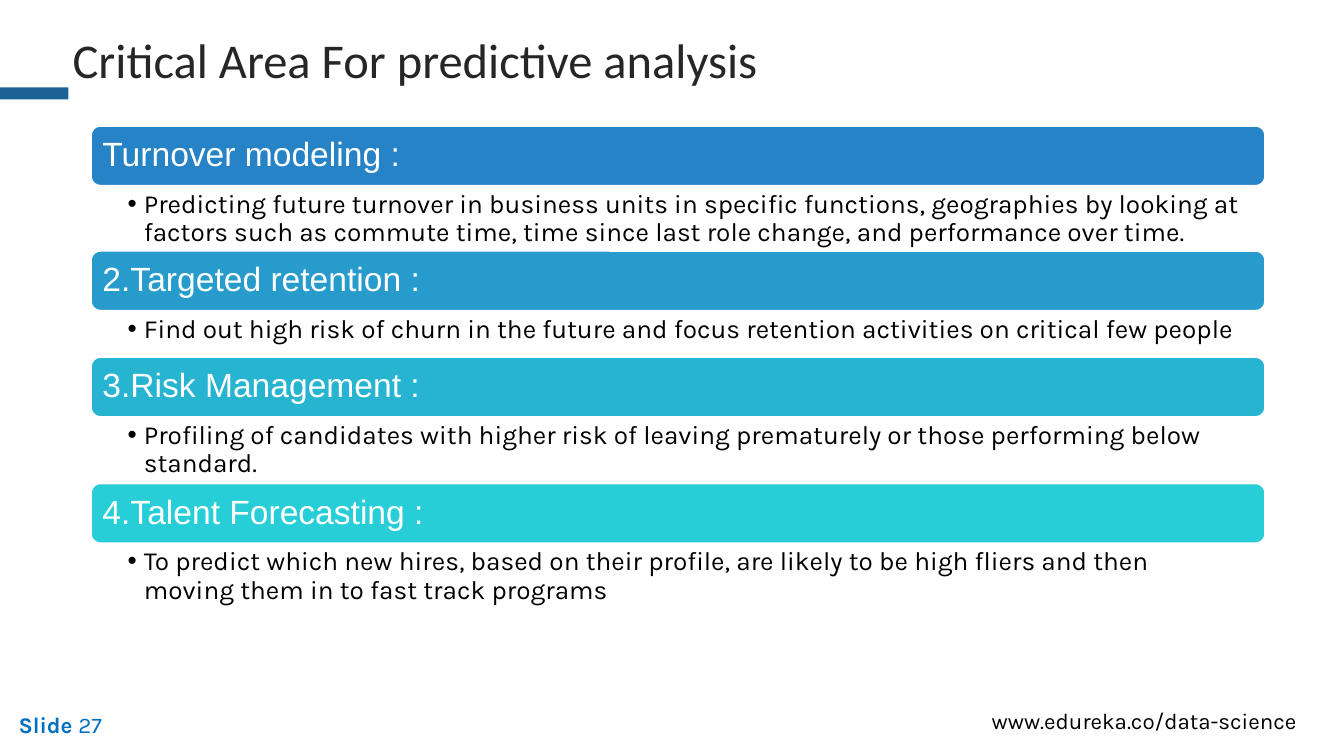
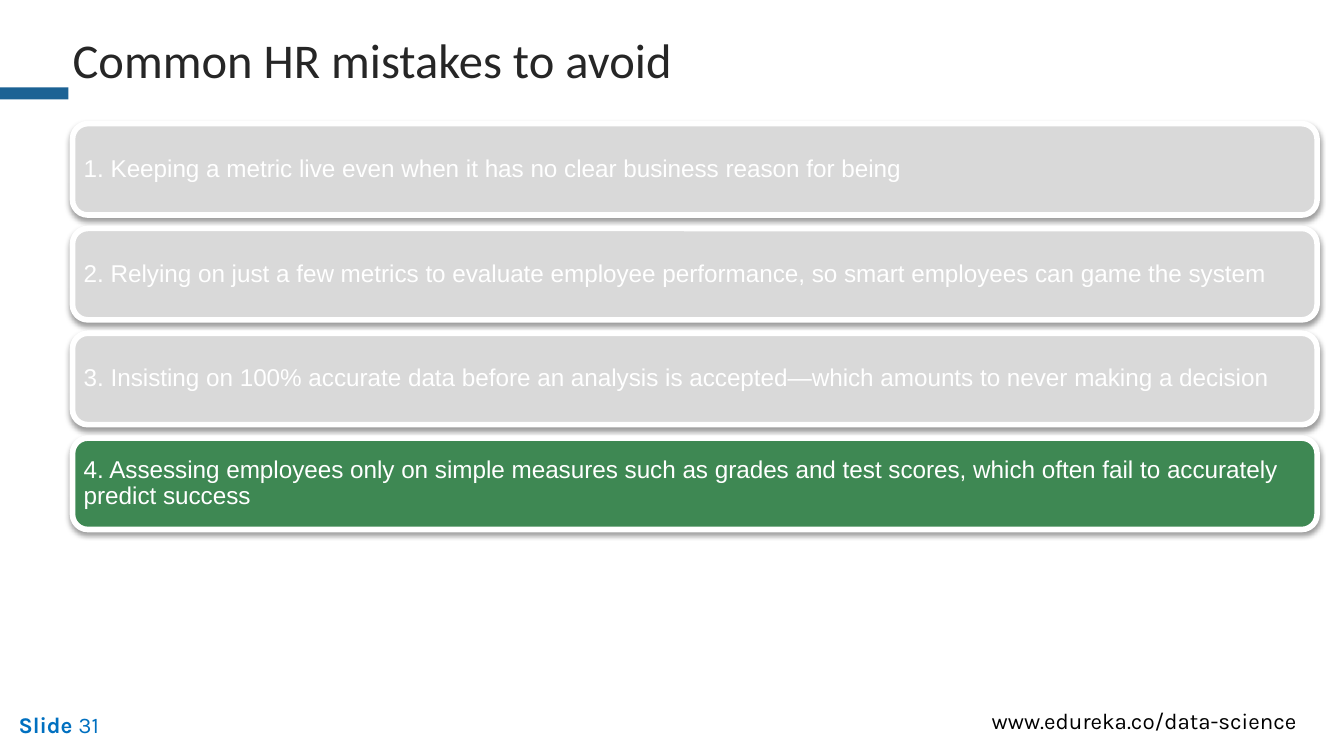
from lxml import etree
from pptx import Presentation
from pptx.dml.color import RGBColor
from pptx.enum import shapes, text
from pptx.oxml import ns
from pptx.util import Inches, Pt

WHITE = RGBColor(0xFF, 0xFF, 0xFF)
BLACK = RGBColor(0x00, 0x00, 0x00)
TITLE_GREY = RGBColor(0x26, 0x26, 0x26)
ACCENT_BLUE = RGBColor(0x1C, 0x62, 0x94)
NUMBER_BLUE = RGBColor(0x00, 0x70, 0xC0)
MUTED_GREY = RGBColor(0xD9, 0xD9, 0xD9)
FOCUS_GREEN = RGBColor(0x3E, 0x88, 0x53)

AREAS = [
    ("Turnover modeling :", RGBColor(0x26, 0x83, 0xC6), 0.47,
     "Predicting future turnover in business units in specific functions, geographies by looking at "
     "factors such as commute time, time since last role change, and performance over time."),
    ("2.Targeted retention :", RGBColor(0x26, 0x9B, 0xCC), 0.33,
     "Find out high risk of churn in the future and focus retention activities on critical few people"),
    ("3.Risk Management :", RGBColor(0x27, 0xB4, 0xD1), 0.48,
     "Profiling of candidates with higher risk of leaving prematurely or those performing below standard."),
    ("4.Talent Forecasting :", RGBColor(0x27, 0xCE, 0xD7), 0.48,
     "To predict which new hires, based on their profile, are likely to be high fliers and then "
     "moving them in to fast track programs"),
]
MISTAKES = [
    ("1. Keeping a metric live even when it has no clear business reason for being", MUTED_GREY),
    ("2. Relying on just a few metrics to evaluate employee performance, "
     "so smart employees can game the system", MUTED_GREY),
    ("3. Insisting on 100% accurate data before an analysis is accepted—"
     "which amounts to never making a decision", MUTED_GREY),
    ("4. Assessing employees only on simple measures such as grades and test scores, "
     "which often fail to accurately predict success", FOCUS_GREEN),
]


def set_margins(frame, left, top, right, bottom):
    frame.margin_left, frame.margin_top = Inches(left), Inches(top)
    frame.margin_right, frame.margin_bottom = Inches(right), Inches(bottom)


def set_font(font, name, size, color):
    font.name, font.size = name, Pt(size)
    font.color.rgb = color


def add_text(slide, left, top, width, height):
    box = slide.shapes.add_textbox(Inches(left), Inches(top), Inches(width), Inches(height))
    box.text_frame.word_wrap = True
    return box.text_frame


def add_bar(slide, left, top, width, height, words, fill, size, inset, line_width):
    """Rounded, white-edged bar with its words on the left."""
    bar = slide.shapes.add_shape(shapes.MSO_SHAPE.ROUNDED_RECTANGLE, Inches(left), Inches(top),
                                 Inches(width), Inches(height))
    bar.shadow.inherit = False
    bar.fill.solid()
    bar.fill.fore_color.rgb = fill
    bar.line.color.rgb = WHITE
    bar.line.width = Pt(line_width)
    frame = bar.text_frame
    frame.word_wrap = True
    frame.vertical_anchor = text.MSO_ANCHOR.MIDDLE
    set_margins(frame, inset, inset, inset, inset)
    paragraph = frame.paragraphs[0]
    paragraph.text = words
    paragraph.alignment = text.PP_ALIGN.LEFT
    paragraph.line_spacing = 0.9
    set_font(paragraph.font, "Arial", size, WHITE)
    return bar


def add_soft_shadow(shape):
    effects = shape._element.spPr.find(ns.qn("a:effectLst"))
    shadow = etree.SubElement(effects, ns.qn("a:outerShdw"), blurRad=str(Pt(3.1)),
                              dist=str(Pt(1.6)), dir="5400000", rotWithShape="0")
    color = etree.SubElement(shadow, ns.qn("a:srgbClr"), val=str(BLACK))
    etree.SubElement(color, ns.qn("a:alpha"), val="38000")


def add_bullet(paragraph, indent):
    properties = paragraph._p.get_or_add_pPr()
    properties.set("marL", str(Inches(indent)))
    properties.set("indent", str(-Inches(indent)))
    etree.SubElement(properties, ns.qn("a:buFont"), typeface="Arial")
    etree.SubElement(properties, ns.qn("a:buChar"), char="•")


def add_base_slide(presentation, title, number):
    """Slide with the shared title, accent band and footer."""
    slide = presentation.slides.add_slide(presentation.slide_layouts[5])

    # Accent band
    band = slide.shapes.add_shape(shapes.MSO_SHAPE.RECTANGLE, 0, Inches(0.65), Inches(0.51), Inches(0.09))
    band.shadow.inherit = False
    band.fill.solid()
    band.fill.fore_color.rgb = ACCENT_BLUE
    band.line.fill.background()

    # Title
    heading = slide.shapes.title
    heading.left, heading.top = Inches(0.44), Inches(0.17)
    heading.width, heading.height = Inches(6.92), Inches(0.48)
    frame = heading.text_frame
    frame.auto_size = text.MSO_AUTO_SIZE.NONE
    frame.vertical_anchor = text.MSO_ANCHOR.TOP
    set_margins(frame, 0.1, 0.05, 0.1, 0.05)
    paragraph = frame.paragraphs[0]
    paragraph.text = title
    paragraph.alignment = text.PP_ALIGN.LEFT
    set_font(paragraph.font, "Calibri", 26, TITLE_GREY)

    # Footer
    paragraph = add_text(slide, 0.04, 5.24, 1.58, 0.3).paragraphs[0]
    for words, bold in (("Slide ", True), (str(number), False)):
        run = paragraph.add_run()
        run.text = words
        run.font.bold = bold
    set_font(paragraph.font, "Karla", 12, NUMBER_BLUE)
    paragraph = add_text(slide, 7.28, 5.21, 2.49, 0.3).paragraphs[0]
    paragraph.text = "www.edureka.co/data-science"
    set_font(paragraph.font, "Karla", 12, BLACK)
    return slide


def add_areas(slide, left, top, width, bar_height=0.46):
    """Stack of headed bars, each followed by its bullet."""
    for heading, fill, note_height, note in AREAS:
        add_bar(slide, left, top, width, bar_height, heading, fill, size=18, inset=0.07, line_width=2)
        top += bar_height
        frame = add_text(slide, left, top, width, note_height)
        set_margins(frame, 0.28, 0.03, 0.17, 0.03)
        paragraph = frame.paragraphs[0]
        paragraph.text = note
        paragraph.level = 1
        paragraph.line_spacing = 0.9
        add_bullet(paragraph, 0.12)
        set_font(paragraph.font, "Karla", 14, BLACK)
        top += note_height


def add_mistakes(slide, left, top, width, bar_height=0.68, pitch=0.78):
    """Evenly spaced bars with soft shadows."""
    for row, (words, fill) in enumerate(MISTAKES):
        bar = add_bar(slide, left, top + row * pitch, width, bar_height, words, fill,
                      size=13, inset=0.05, line_width=3)
        add_soft_shadow(bar)


def main():
    presentation = Presentation()
    # Widescreen, 16:9
    presentation.slide_width, presentation.slide_height = Inches(10), Inches(10 * 9 / 16)
    slide = add_base_slide(presentation, "Critical Area For predictive analysis", 27)
    add_areas(slide, 0.67, 0.93, 8.75)
    slide = add_base_slide(presentation, "Common HR mistakes to avoid", 31)
    add_mistakes(slide, 0.54, 0.92, 9.26)
    presentation.save("out.pptx")


if __name__ == "__main__":
    main()
